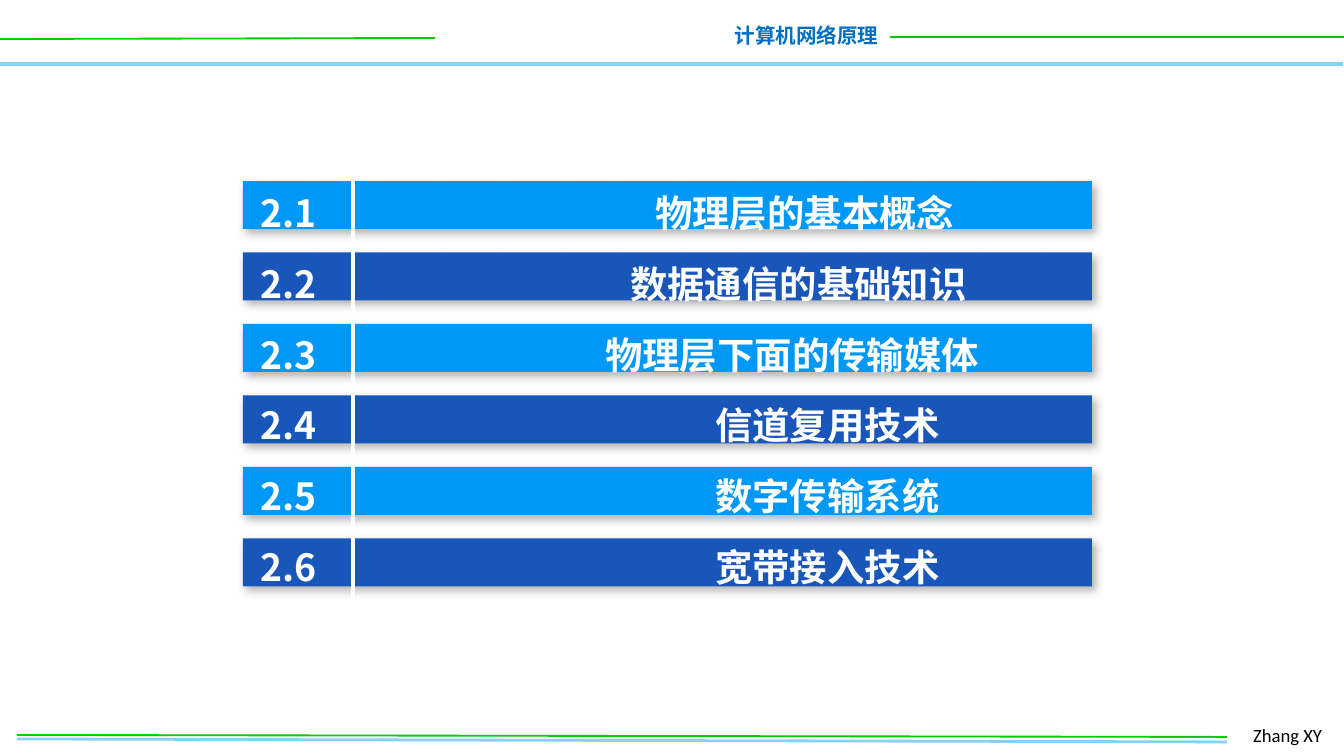
from pptx import Presentation
from pptx.dml.color import RGBColor
from pptx.enum.shapes import MSO_CONNECTOR, MSO_SHAPE
from pptx.enum.text import MSO_AUTO_SIZE as AutoSize, PP_ALIGN as Align
from pptx.oxml.ns import qn
from pptx.util import Pt
from lxml.etree import SubElement

EMU_PER_PX = 914400 / 134.4
CJK = "Noto Sans CJK SC"
GREEN, PALE_BLUE = "00CC00", "85D1F7"
BAR_COLOURS = ["0098F6", "1956B9"]

# Number, title, and the title's start measured from the text edge
SECTIONS = [
    ("2.1", "物理层的基本概念", 395),
    ("2.2", "数据通信的基础知识", 370),
    ("2.3", "物理层下面的传输媒体", 345),
    ("2.4", "信道复用技术", 455),
    ("2.5", "数字传输系统", 455),
    ("2.6", "宽带接入技术", 455),
]


def px(length):
    return round(length * EMU_PER_PX)


def colour(hex_code):
    return RGBColor.from_string(hex_code)


class SlideBuilder:
    def __init__(self, page):
        self.shapes = page.shapes

    def line(self, x1, y1, x2, y2, hex_code, points):
        line = self.shapes.add_connector(
            MSO_CONNECTOR.STRAIGHT, px(x1), px(y1), px(x2), px(y2))
        line.line.color.rgb = colour(hex_code)
        line.line.width = Pt(points)
        SubElement(line._element.spPr, qn("a:effectLst"))

    def bar(self, left, top, width, height, hex_code):
        """Add a borderless rectangle with a soft drop shadow."""
        bar = self.shapes.add_shape(
            MSO_SHAPE.RECTANGLE, px(left), px(top), px(width), px(height))
        bar.fill.solid()
        bar.fill.fore_color.rgb = colour(hex_code)
        bar.line.fill.background()
        bar.shadow.inherit = False
        effects = bar._element.spPr.find(qn("a:effectLst"))
        shadow = SubElement(effects, qn("a:outerShdw"), blurRad=str(Pt(4.5)),
                            dist=str(Pt(2.6)), dir=str(53 * 60000),
                            algn="tl", rotWithShape="0")
        black = SubElement(shadow, qn("a:srgbClr"), val="000000")
        SubElement(black, qn("a:alpha"), val="30000")

    def text(self, left, top, width, height, lines, size, hex_code, font=CJK,
             bold=False, align=Align.LEFT, wrap=True, spacing=None, tabs=()):
        """Add a text box with one paragraph per line and one tab stop each."""
        box = self.shapes.add_textbox(px(left), px(top), px(width), px(height))
        frame = box.text_frame
        frame.text = "\n".join(lines)
        frame.word_wrap = wrap
        frame.auto_size = AutoSize.SHAPE_TO_FIT_TEXT
        for para in frame.paragraphs:
            para.alignment = align
            if spacing:
                para.line_spacing = Pt(spacing)
            for span in para.runs:
                span.font.name = font
                span.font.size = Pt(size)
                span.font.bold = bold
                span.font.color.rgb = colour(hex_code)
                SubElement(span._r.get_or_add_rPr(), qn("a:ea"), typeface=font)
        for para, stop in zip(frame.paragraphs, tabs):
            tab_list = SubElement(para._p.get_or_add_pPr(), qn("a:tabLst"))
            SubElement(tab_list, qn("a:tab"), pos=str(px(stop)), algn="l")


def main():
    deck = Presentation()
    deck.slide_width, deck.slide_height = px(1344), px(756)
    slide = SlideBuilder(deck.slides.add_slide(deck.slide_layouts[6]))

    # Header
    slide.line(-1, 64, 1343, 64, PALE_BLUE, 2)
    slide.line(0, 39, 435, 38, GREEN, 1)
    slide.text(720, 16, 172, 39, ["计算机网络原理"], 11, "0070C0",
               bold=True, align=Align.RIGHT, wrap=False)
    slide.line(890, 37, 1345, 37, GREEN, 1)

    # Footer
    slide.line(17, 739, 1227, 742, PALE_BLUE, 1.5)
    slide.text(1240, 717, 100, 36, ["Zhang XY"], 10, "000000", font="Calibri")
    slide.line(17, 735, 1227, 737, GREEN, 1)

    # Contents list
    for index in range(len(SECTIONS)):
        slide.bar(243, 181 + index * 71.5, 849, 48, BAR_COLOURS[index % 2])
    slide.line(353, 155, 353, 607, "FFFFFF", 2.25)
    slide.text(247, 157, 832, 444,
               [f"{number}\t{title}" for number, title, _ in SECTIONS],
               20, "FFFFFF", bold=True, spacing=38,
               tabs=[start for _, _, start in SECTIONS])

    deck.save("out.pptx")


if __name__ == "__main__":
    main()
